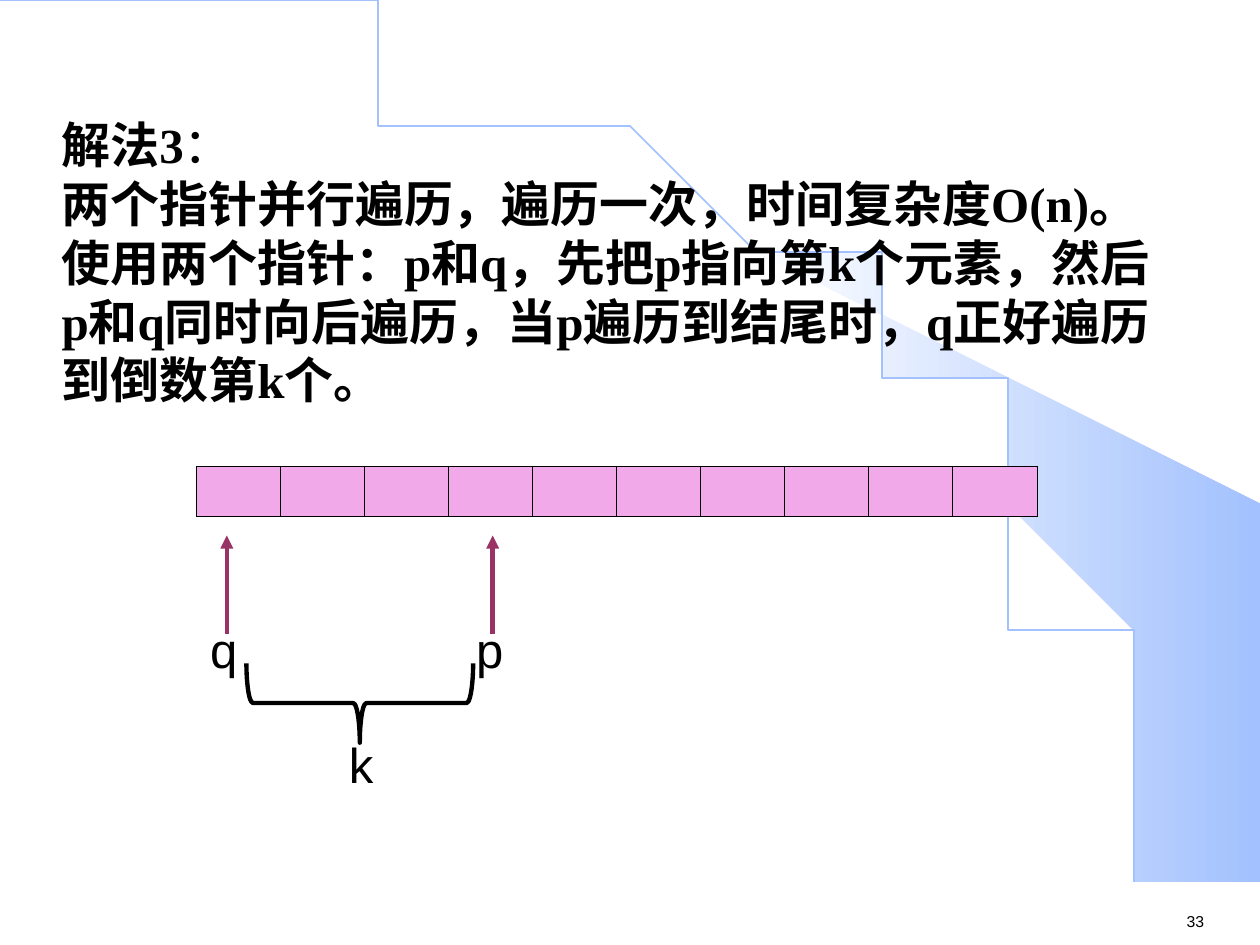
from math import cos, pi, sin

from lxml.etree import SubElement
from pptx import Presentation
from pptx.dml.color import RGBColor
from pptx.enum.shapes import MSO_CONNECTOR as Connector, MSO_SHAPE as Shape
from pptx.oxml.ns import qn
from pptx.util import Inches, Pt

COLORS = {
    "black": "000000",
    "white": "FFFFFF",
    "sky": "A2C1FE",
    "cell": "F1A9EA",
    "arrow": "993366",
}
SWOOSH = [
    (9.2, 7.48), (9.99, 7.49), (9.99, 4.23), (5.89, 1.73), (6.24, 1.99),
    (6.53, 2.22), (6.85, 2.5), (7.16, 2.8), (7.62, 3.3), (8.03, 3.84),
    (8.32, 4.31), (8.58, 4.79), (8.78, 5.28), (8.93, 5.72), (9.03, 6.09),
    (9.13, 6.56), (9.17, 6.96),
]
EXPLANATION = [
    [("解法3", True), ("：", False)],
    [("两个指针并行遍历，遍历一次，时间复杂度O(n)。", True)],
    [("使用两个指针：p和q，先把p指向第k个元素，然后p和q同时向后遍历，"
      "当p遍历到结尾时，q正好遍历到倒数第k个。", True)],
]
LABELS = [("p", 3.68, 4.87, 0.41), ("q", 1.57, 4.87, 0.41), ("k", 2.67, 5.78, 0.39)]


def color(name):
    """Return the named colour."""
    return RGBColor.from_string(COLORS[name])


def style_line(shape, name, width):
    """Set the colour and width of an outline."""
    shape.line.color.rgb = color(name)
    shape.line.width = Pt(width)


def add_outline(page, points, close):
    """Draw a freeform through points given in inches."""
    builder = page.shapes.build_freeform(*points[0], scale=Inches(1))
    builder.add_line_segments(points[1:], close=close)
    outline = builder.convert_to_shape()
    outline.shadow.inherit = False
    return outline


def add_backdrop(page):
    """Draw the gradient swoosh and the thin quarter arc."""
    swoosh = add_outline(page, SWOOSH, True)
    swoosh.fill.gradient()
    swoosh.fill.gradient_angle = 0
    for stop, name in zip(swoosh.fill.gradient_stops, ("white", "sky")):
        stop.color.rgb = color(name)
    swoosh.line.fill.background()

    steps = 90
    angles = [pi / 2 * step / steps for step in range(steps + 1)]
    arc = add_outline(page, [(9.2 * sin(a), 7.49 * (1 - cos(a))) for a in angles], False)
    arc.fill.background()
    style_line(arc, "sky", 1)


def add_text(page, place, paragraphs, size=28, font="Arial", wrap=False):
    """Add a text box whose paragraphs are lists of (text, bold) runs."""
    box = page.shapes.add_textbox(*map(Inches, place))
    frame = box.text_frame
    frame.word_wrap = wrap
    for index, runs in enumerate(paragraphs):
        para = frame.add_paragraph() if index else frame.paragraphs[0]
        for text, bold in runs:
            span = para.add_run()
            span.text = text
            span.font.name = font
            span.font.size = Pt(size)
            span.font.bold = bold
            span.font.color.rgb = color("black")


def add_border(cell):
    """Give a cell a thin black line on every side."""
    properties = cell._tc.get_or_add_tcPr()
    for side in ("a:lnL", "a:lnR", "a:lnT", "a:lnB"):
        line = SubElement(properties, qn(side), w=str(Pt(0.45)))
        fill = SubElement(line, qn("a:solidFill"))
        SubElement(fill, qn("a:srgbClr"), val=COLORS["black"])


def add_array(page, count):
    """Draw the list elements as a one-row table."""
    place = map(Inches, (1.56, 3.7, 6.67, 0.4))
    table = page.shapes.add_table(1, count, *place).table
    for cell in table.iter_cells():
        add_border(cell)
        cell.fill.solid()
        cell.fill.fore_color.rgb = color("cell")


def add_pointer(page, x):
    """Draw an upward arrow toward the array."""
    ends = map(Inches, (x, 5.03, x, 4.25))
    arrow = page.shapes.add_connector(Connector.STRAIGHT, *ends)
    style_line(arrow, "arrow", 2.5)
    SubElement(arrow.line._get_or_add_ln(), qn("a:tailEnd"), type="triangle")
    SubElement(arrow._element.spPr, qn("a:effectLst"))


def add_brace(page):
    """Draw the downward brace that spans the distance k."""
    place = map(Inches, (2.54, 4.68, 0.63, 1.8))
    brace = page.shapes.add_shape(Shape.RIGHT_BRACE, *place)
    brace.rotation = 90
    brace.shadow.inherit = False
    brace.fill.background()
    style_line(brace, "black", 2.5)


def main():
    """Build the two-pointer slide and save it."""
    deck = Presentation()
    deck.slide_width, deck.slide_height = Inches(10), Inches(7.5)
    page = deck.slides.add_slide(deck.slide_layouts[6])
    add_backdrop(page)
    add_text(page, (9.32, 7.19, 0.77, 0.25), [[("33", False)]], size=9)
    add_text(page, (0.39, 0.86, 8.98, 2.44), EXPLANATION, font="Times New Roman", wrap=True)
    add_array(page, 10)
    for x in (1.8, 3.91):
        add_pointer(page, x)
    for letter, left, top, width in LABELS:
        add_text(page, (left, top, width, 0.57), [[(letter, False)]])
    add_brace(page)
    deck.save("out.pptx")


if __name__ == "__main__":
    main()
